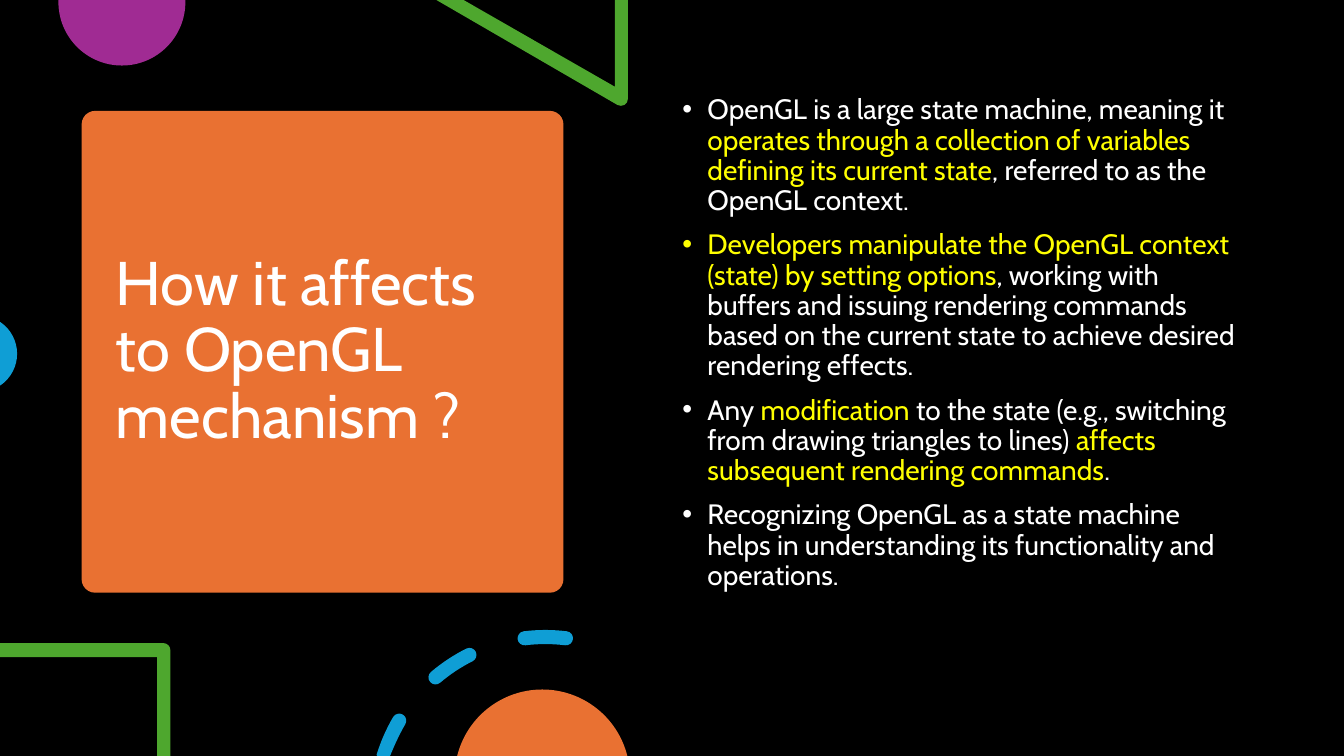
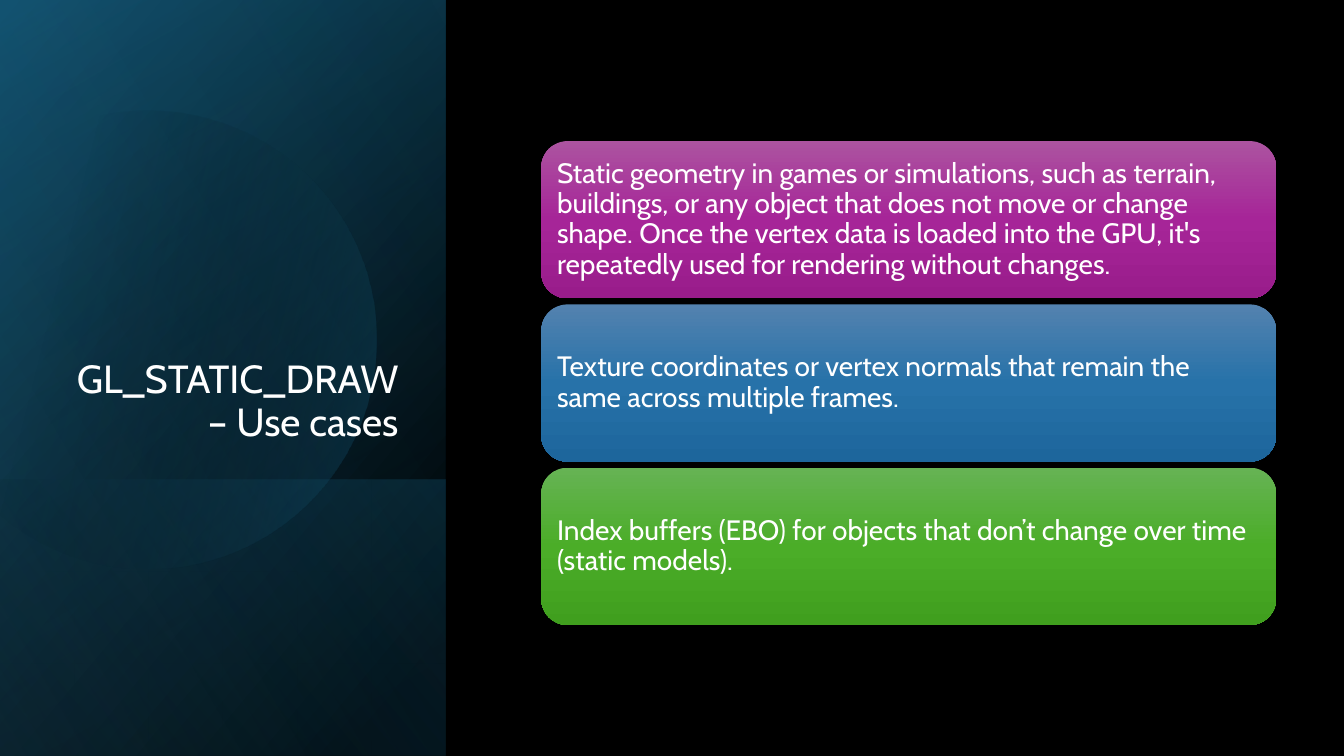
"""Build two dark slides on the OpenGL state machine and GL_STATIC_DRAW."""
from math import ceil, cos, radians, sin, tan

from lxml import etree
from pptx import Presentation
from pptx.dml.color import RGBColor
from pptx.enum.shapes import MSO_SHAPE
from pptx.enum.text import MSO_ANCHOR, PP_ALIGN
from pptx.oxml.ns import qn
from pptx.util import Inches, Pt

RECTANGLE, ROUNDED = MSO_SHAPE.RECTANGLE, MSO_SHAPE.ROUNDED_RECTANGLE
TOP, MIDDLE, BOTTOM = MSO_ANCHOR.TOP, MSO_ANCHOR.MIDDLE, MSO_ANCHOR.BOTTOM
LEFT, RIGHT = PP_ALIGN.LEFT, PP_ALIGN.RIGHT

WIDTH, HEIGHT = 40 / 3, 7.5
FONT = "Cabin"
BLACK, WHITE, YELLOW = "000000", "FFFFFF", "FFFF00"
ORANGE, PURPLE, GREEN, BLUE = "E97132", "A02B93", "4EA72E", "0F9ED5"
TEAL, NAVY, SKY = "156082", "104862", "46B1E1"

STATE_TITLE = "How it affects to OpenGL mechanism ?"
STATE_POINTS = [
    [("OpenGL is a large state machine, meaning it ", WHITE),
     ("operates through a collection of variables defining its current state", YELLOW),
     (", referred to as the OpenGL context.", WHITE)],
    [("Developers manipulate the OpenGL context (state) by setting options", YELLOW),
     (", working with buffers and issuing rendering commands based on the current "
      "state to achieve desired rendering effects.", WHITE)],
    [("Any ", WHITE), ("modification", YELLOW),
     (" to the state (e.g., switching from drawing triangles to lines) ", WHITE),
     ("affects subsequent rendering commands", YELLOW), (".", WHITE)],
    [("Recognizing OpenGL as a state machine helps in understanding its "
      "functionality and operations.", WHITE)],
]

USES_TITLE = "GL_STATIC_DRAW – Use cases"
USE_CASES = [
    ("Static geometry in games or simulations, such as terrain, buildings, or any object "
     "that does not move or change shape. Once the vertex data is loaded into the GPU, "
     "it's repeatedly used for rendering without changes.", ("AC53A0", "A62598", "991C8B")),
    ("Texture coordinates or vertex normals that remain the same across multiple frames.",
     ("5382AF", "2772A9", "1D669C")),
    ("Index buffers (EBO) for objects that don’t change over time (static models).",
     ("66B354", "4BAD28", "409F1E")),
]
CARD_LEFT, CARD_TOP, CARD_WIDTH, CARD_HEIGHT, CARD_PITCH = 5.37, 1.4, 7.29, 1.56, 1.62

PANEL_WIDTH, PANEL_FOOT = 4.42, 4.76
DASH_CENTER, DASH_RADIUS, DASH_HALF = (5.41, 8), 1.68, 0.07
DASH_ANGLES = [(197, 210.4), (229.6, 243.4), (263, 277)]


def color(value):
    """Turn a hex string into a colour."""
    return RGBColor.from_string(value)


def add_slide(presentation):
    """Add a blank slide with the shared background."""
    slide = presentation.slides.add_slide(presentation.slide_layouts[6])
    slide.background.fill.solid()
    slide.background.fill.fore_color.rgb = color(BLACK)
    return slide


def paint(shape, fill):
    """Fill with a hex colour, or with a gradient given as (angle, stops)."""
    shape.shadow.inherit = False
    shape.line.fill.background()
    if isinstance(fill, str):
        shape.fill.solid()
        shape.fill.fore_color.rgb = color(fill)
        return shape
    angle, stops = fill
    shape.fill.gradient()
    gradient = shape.fill._xPr.find(qn("a:gradFill"))
    for child in list(gradient):
        gradient.remove(child)
    stop_list = etree.SubElement(gradient, qn("a:gsLst"))
    for position, value, opacity in stops:
        stop = etree.SubElement(stop_list, qn("a:gs"), pos=str(position * 1000))
        stop_color = etree.SubElement(stop, qn("a:srgbClr"), val=value)
        if opacity < 100:
            etree.SubElement(stop_color, qn("a:alpha"), val=str(opacity * 1000))
    etree.SubElement(gradient, qn("a:lin"), ang=str(angle * 60000), scaled="0")
    return shape


def add_box(slide, kind, box, fill):
    """Add a painted preset shape."""
    return paint(slide.shapes.add_shape(kind, *map(Inches, box)), fill)


def add_outline(slide, contours, fill):
    """Add one painted shape from contours of points and three-point curves."""
    builder = None
    for contour in contours:
        points = [(Inches(x), Inches(y)) for segment in contour for x, y in segment]
        if builder is None:
            builder = slide.shapes.build_freeform(*points[0])
        else:
            builder.move_to(*points[0])
        builder.add_line_segments(points[1:], close=True)
    shape = builder.convert_to_shape()
    lines = iter(list(shape._element.iter(qn("a:lnTo"))))
    for segment in (segment for contour in contours for segment in contour[1:]):
        pieces = [next(lines) for _ in segment]
        if len(pieces) == 3:
            curve = etree.Element(qn("a:cubicBezTo"))
            pieces[0].addprevious(curve)
            for piece in pieces:
                curve.append(piece[0])
                piece.getparent().remove(piece)
    return paint(shape, fill)


def arc(center, radius, start, end):
    """Give a start point and curves, in degrees clockwise from the right."""
    def place(angle, pull=0):
        return (center[0] + radius * (cos(angle) - pull * sin(angle)),
                center[1] + radius * (sin(angle) + pull * cos(angle)))

    count = max(1, ceil(abs(end - start) / 90))
    step = radians(end - start) / count
    pull = 4 / 3 * tan(step / 4)
    angles = [radians(start) + step * index for index in range(count + 1)]
    return [(place(angles[0]),)] + [
        (place(first, pull), place(last, -pull), place(last))
        for first, last in zip(angles, angles[1:])]


def corners(*points):
    """Give straight segments through the points."""
    return [(point,) for point in points]


def dash(start, end):
    """Give the contour of a round-ended dash, cut at the slide's foot."""
    first, last = (arc(DASH_CENTER, DASH_RADIUS, angle, angle)[0][0] for angle in (start, end))
    contour = (arc(DASH_CENTER, DASH_RADIUS + DASH_HALF, start, end)
               + arc(last, DASH_HALF, end, end + 180)[1:]
               + arc(DASH_CENTER, DASH_RADIUS - DASH_HALF, end, start)[1:]
               + arc(first, DASH_HALF, start + 180, start + 360)[1:])
    return [tuple((x, min(y, HEIGHT)) for x, y in segment) for segment in contour]


def write_text(shape, paragraphs, size=20, anchor=MIDDLE, align=LEFT,
               margins=(0.1, 0.05), bullet=False):
    """Write paragraphs, each a list of (text, colour) runs."""
    frame = shape.text_frame
    frame.word_wrap = True
    frame.vertical_anchor = anchor
    frame.margin_left = frame.margin_right = Inches(margins[0])
    frame.margin_top = frame.margin_bottom = Inches(margins[1])
    for index, runs in enumerate(paragraphs):
        paragraph = frame.add_paragraph() if index else frame.paragraphs[0]
        paragraph.alignment = align
        paragraph.line_spacing = 0.9
        if bullet:
            paragraph.space_before = Pt(10)
            properties = paragraph._p.get_or_add_pPr()
            properties.set("marL", str(Inches(0.25)))
            properties.set("indent", str(-Inches(0.25)))
            etree.SubElement(properties, qn("a:buFont"), typeface="Arial")
            etree.SubElement(properties, qn("a:buChar"), char="•")
        for text, text_color in runs:
            run = paragraph.add_run()
            run.text = text
            run.font.name = FONT
            run.font.size = Pt(size)
            run.font.color.rgb = color(text_color)


def build_state_slide(presentation):
    """Title card, decorations and highlighted bullets."""
    slide = add_slide(presentation)
    card = add_box(slide, ROUNDED, (0.81, 1.1, 4.78, 4.78), ORANGE)
    card.adjustments[0] = 0.028
    write_text(card, [[(STATE_TITLE, WHITE)]], size=44, margins=(0.3, 0.1))

    dome = arc((1.21, 0.02), 0.63, 0, 180) + corners((0.58, 0), (1.84, 0))
    triangle = arc((6.16, 0.98), 0.07, 0, 120) + corners(
        (4.33, 0), (4.6, 0), (6.1, 0.86), (6.1, 0), (6.23, 0))
    frame_corner = arc((1.62, 6.45), 0.07, 270, 360) + corners(
        (1.69, 7.5), (1.56, 7.5), (1.56, 6.52), (0, 6.52), (0, 6.38))
    decorations = [
        ([dome], PURPLE),
        ([triangle], GREEN),
        ([arc((-0.21, 3.51), 0.38, -56, 56)], BLUE),
        ([frame_corner], GREEN),
        ([dash(start, end) for start, end in DASH_ANGLES], BLUE),
        ([arc((5.38, 7.71), 0.87, 194, 346)], ORANGE),
    ]
    for contours, fill in decorations:
        add_outline(slide, contours, fill)

    body = slide.shapes.add_textbox(*map(Inches, (6.67, 0.9, 5.75, 5.35)))
    write_text(body, STATE_POINTS, anchor=TOP, bullet=True)


def build_uses_slide(presentation):
    """Shaded title panel beside a column of cards."""
    slide = add_slide(presentation)
    panel = (0, 0, PANEL_WIDTH, HEIGHT)
    foot = (0, PANEL_FOOT, PANEL_WIDTH, HEIGHT - PANEL_FOOT)
    add_box(slide, RECTANGLE, panel, (220, [(8, BLACK, 100), (100, NAVY, 100)]))
    add_box(slide, RECTANGLE, panel, (240, [(0, BLACK, 0), (99, TEAL, 46)]))
    add_box(slide, RECTANGLE, foot, (140, [(2, TEAL, 29), (100, BLACK, 30)]))
    add_outline(slide, [arc((1.46, 3.37), 2.27, -130, 130)],
                (14, [(20, BLACK, 0), (100, TEAL, 43)]))
    add_box(slide, RECTANGLE, panel, (150, [(0, BLACK, 0), (99, SKY, 11)]))

    title = slide.shapes.add_textbox(*map(Inches, (0.64, 1.84, 3.41, 2.62)))
    write_text(title, [[(USES_TITLE, WHITE)]], size=28, anchor=BOTTOM, align=RIGHT)

    for index, (text, shades) in enumerate(USE_CASES):
        top = CARD_TOP + index * CARD_PITCH
        stops = [(position, shade, 100) for position, shade in zip((0, 50, 100), shades)]
        card = add_box(slide, ROUNDED, (CARD_LEFT, top, CARD_WIDTH, CARD_HEIGHT), (90, stops))
        write_text(card, [[(text, WHITE)]], margins=(0.08, 0.08))


def main():
    """Build and save the presentation."""
    presentation = Presentation()
    presentation.slide_width = Inches(WIDTH)
    presentation.slide_height = Inches(HEIGHT)
    build_state_slide(presentation)
    build_uses_slide(presentation)
    presentation.save("out.pptx")


if __name__ == "__main__":
    main()
